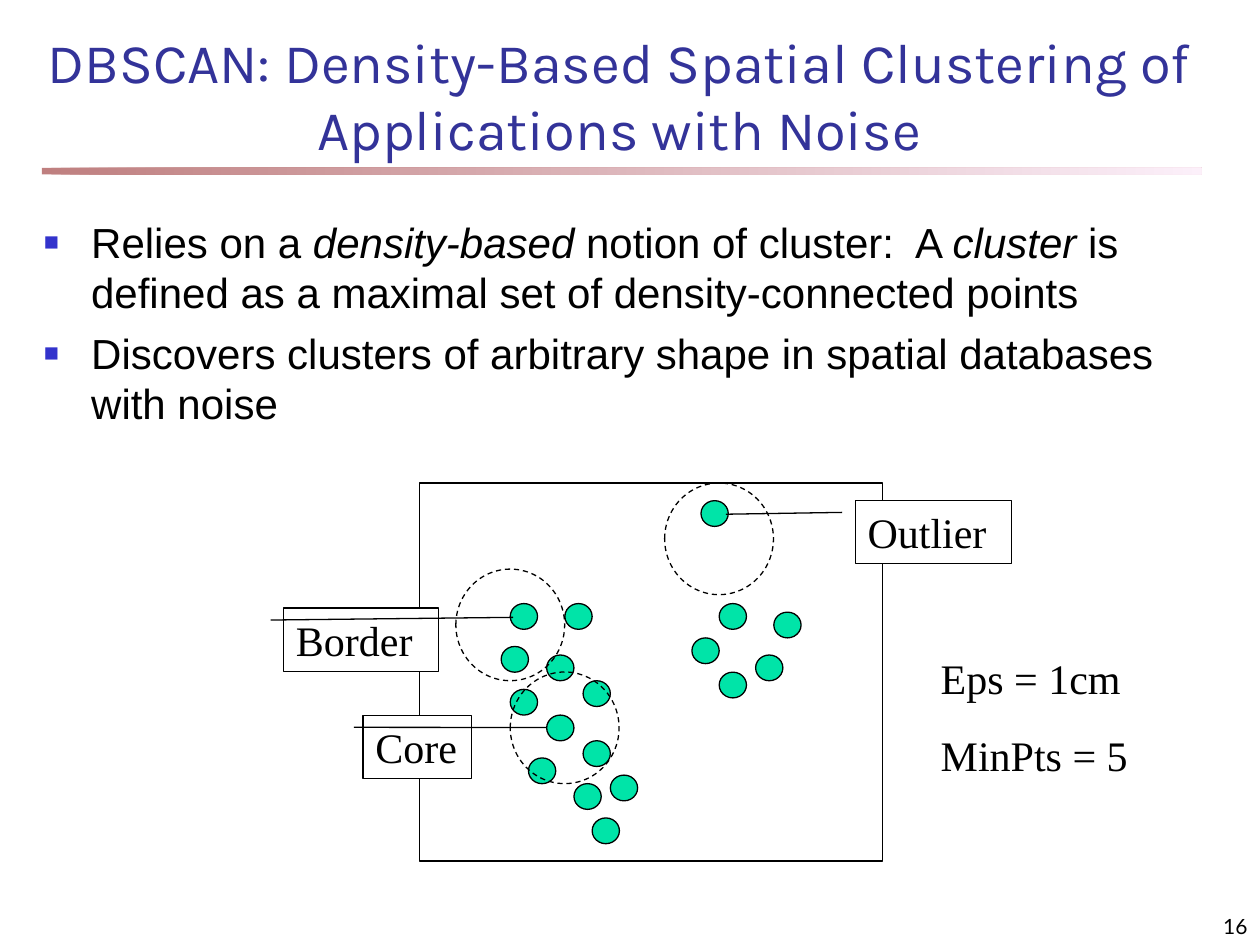
"""Build the DBSCAN slide: title, two bullets and a labelled point diagram."""
from lxml import etree
from pptx import Presentation
from pptx.dml.color import RGBColor
from pptx.enum import dml, shapes, text
from pptx.oxml import ns
from pptx.util import Pt


def color(hex_code):
    return RGBColor.from_string(hex_code)


def write(shape, paragraphs, font="Times New Roman", size=24, ink="000000",
          align="LEFT", anchor="TOP", gap=0, bullet=False):
    frame = shape.text_frame
    frame.word_wrap = True
    frame.vertical_anchor = text.MSO_ANCHOR[anchor]
    for index, runs in enumerate(paragraphs):
        line = frame.add_paragraph() if index else frame.paragraphs[0]
        line.alignment = text.PP_ALIGN[align]
        line.space_before = Pt(gap if index else 0)
        if bullet:
            props = line._p.get_or_add_pPr()
            props.set("marL", str(Pt(27)))
            props.set("indent", str(-Pt(27)))
            tint = etree.SubElement(props, ns.qn("a:buClr"))
            etree.SubElement(tint, ns.qn("a:srgbClr"), val="3333CC")
            etree.SubElement(props, ns.qn("a:buSzPct"), val="60000")
            etree.SubElement(props, ns.qn("a:buFont"), typeface="Arial")
            etree.SubElement(props, ns.qn("a:buChar"), char="■")
        for order, words in enumerate(runs):
            run = line.add_run()
            run.text = words
            run.font.name, run.font.size = font, Pt(size)
            run.font.color.rgb = color(ink)
            run.font.italic = order % 2 == 1


def draw(kind, left, top, width, height, fill=None, dashed=False):
    shape = slide.shapes.add_shape(shapes.MSO_SHAPE[kind], Pt(left), Pt(top), Pt(width), Pt(height))
    shape.shadow.inherit = False
    if fill:
        shape.fill.solid()
        shape.fill.fore_color.rgb = color(fill)
    else:
        shape.fill.background()
    shape.line.color.rgb = color("000000")
    shape.line.width = Pt(0.75)
    if dashed:
        shape.line.dash_style = dml.MSO_LINE.DASH
    return shape


deck = Presentation()
deck.slide_width, deck.slide_height = Pt(720), Pt(540)
slide = deck.slides.add_slide(deck.slide_layouts[5])

rule = draw("RECTANGLE", 24, 96, 662.5, 3.75)
rule.line.fill.background()
rule.fill.gradient()
rule.fill.gradient_angle = 0
for stop, shade in zip(rule.fill.gradient_stops, ("800000", "FAE2F6")):
    stop.color.rgb = color(shade)
    etree.SubElement(stop.color._xFill[0], ns.qn("a:alpha"), val="50000")

title = slide.shapes.title
title.left, title.top, title.width, title.height = Pt(18), Pt(18), Pt(672), Pt(78)
write(title, [["DBSCAN: Density-Based Spatial Clustering of Applications with Noise"]],
      font="Karla", size=32, ink="333399", align="CENTER", anchor="BOTTOM")

summary = slide.shapes.add_textbox(Pt(18), Pt(120), Pt(672), Pt(396))
write(summary, [
    ["Relies on a ", "density-based", " notion of cluster:  A ", "cluster",
     " is defined as a maximal set of density-connected points"],
    ["Discovers clusters of arbitrary shape in spatial databases with noise"],
], font="Arial", gap=6, bullet=True)

points = [
    (291.6, 344.9), (286.4, 369.4), (312.4, 374.3), (322.8, 344.9), (333.2, 389),
    (291.6, 393.9), (312.4, 408.6), (302, 433.1), (328, 447.8), (338.4, 467.4),
    (333.2, 423.3), (348.8, 442.9),
    (400.6, 286.1), (411, 344.9), (395.4, 364.5), (431.8, 374.3), (442.2, 349.8), (411, 384.1),
]
for left, top in points:
    draw("OVAL", left, top, 15.6, 14.7, fill="00E4A8")

draw("RECTANGLE", 239.75, 276, 264.5, 216)
for left, top in [(260.5, 325.2), (291.6, 384), (379.8, 276)]:
    draw("OVAL", left, top, 62.2, 63.8, dashed=True)

callouts = [
    ("Core", 207.4, 408.8, 62.2, (0.191, 1.687)),
    ("Border", 162, 347.5, 88.4, (0.146, 1.485)),
    ("Outlier", 488.7, 286, 89.3, (0.217, -0.828)),
]
for name, left, top, width, target in callouts:
    callout = draw("LINE_CALLOUT_1", left, top, width, 36.2, fill="FFFFFF")
    for index, value in enumerate((0.188, -0.083) + target):
        callout.adjustments[index] = value
    write(callout, [[name]])

parameters = slide.shapes.add_textbox(Pt(530.5), Pt(369.5), Pt(129.5), Pt(80))
write(parameters, [["Eps = 1cm"], ["MinPts = 5"]], gap=15)

page_number = slide.shapes.add_textbox(Pt(570), Pt(510), Pt(150), Pt(30))
write(page_number, [["16"]], font="Lato", size=12, align="RIGHT", anchor="BOTTOM")

deck.save("out.pptx")
